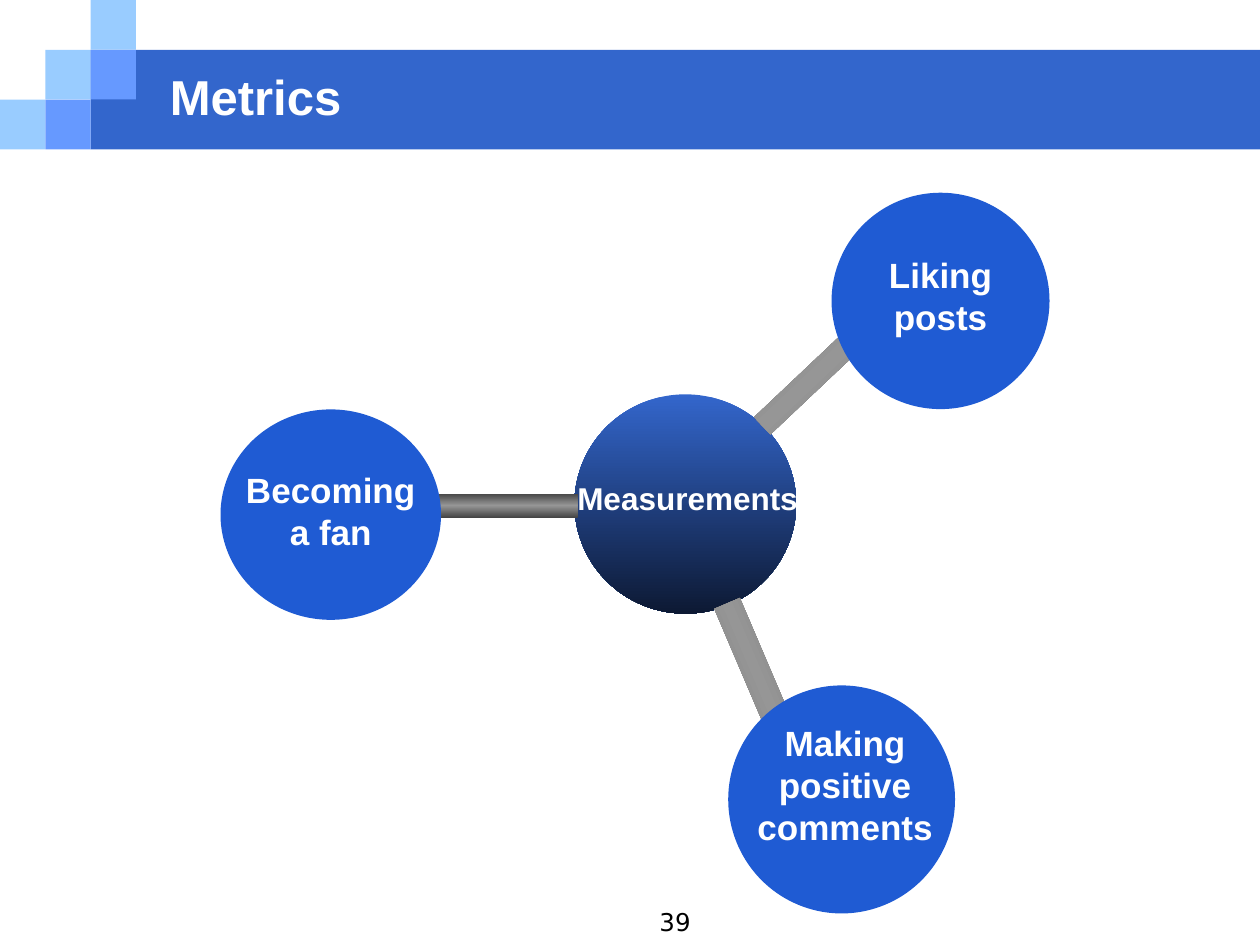
from pptx import Presentation
from pptx.dml.color import RGBColor
from pptx.enum.shapes import MSO_SHAPE
from pptx.enum.text import MSO_ANCHOR, PP_ALIGN
from pptx.oxml import parse_xml
from pptx.oxml.ns import nsdecls
from pptx.util import Inches, Pt

HUES = {
    "band": "3366CC", "pale": "99CCFF", "mid": "6699FF",
    "disc": "1F5BD3", "night": "0D1933",
    "steel": "969696", "dull": "808080", "dark": "454545",
    "white": "FFFFFF", "black": "000000",
}


def part(box, x, y, w, h):
    """Box inside another, given as percentages of it."""
    left, top, wide, high = box
    return (left + wide * x / 100, top + high * y / 100,
            wide * w / 100, high * h / 100)


def shade(shape, hues):
    """Fill from top to bottom with evenly spaced colours."""
    last = len(hues) - 1
    stops = "".join(
        f'<a:gs pos="{100000 * i // last}"><a:srgbClr val="{HUES[hue]}"/></a:gs>'
        for i, hue in enumerate(hues))
    grad = parse_xml(
        f'<a:gradFill {nsdecls("a")} rotWithShape="1"><a:gsLst>{stops}</a:gsLst>'
        '<a:lin ang="5400000" scaled="0"/></a:gradFill>')
    shape._element.spPr.insert(2, grad)


def draw(slide, kind, box, *hues):
    shape = slide.shapes.add_shape(kind, *(Inches(n) for n in box))
    shape.shadow.inherit = False
    shape.line.fill.background()
    if len(hues) > 1:
        shade(shape, hues)
    else:
        shape.fill.solid()
        shape.fill.fore_color.rgb = RGBColor.from_string(HUES[hues[0]])
    return shape


def write(slide, box, text, size, hue="white", align=PP_ALIGN.CENTER,
          anchor=MSO_ANCHOR.TOP, face="Arial", bold=True):
    frame = slide.shapes.add_textbox(*(Inches(n) for n in box)).text_frame
    frame.word_wrap = True
    frame.vertical_anchor = anchor
    frame.text = text
    para = frame.paragraphs[0]
    para.alignment = align
    font = para.runs[0].font
    font.name, font.size, font.bold = face, Pt(size), bold
    font.color.rgb = RGBColor.from_string(HUES[hue])


def header(slide, box, title):
    """Title band with a staircase of tiles on a grid of three rows."""
    col, row = 3.6, 100 / 3
    draw(slide, MSO_SHAPE.RECTANGLE,
         part(box, 2 * col, row, 100 - 2 * col, 2 * row), "band")
    tiles = [(0, 2, "pale"), (1, 1, "pale"), (2, 0, "pale"),
             (2, 1, "mid"), (1, 2, "mid")]
    for x, y, hue in tiles:
        draw(slide, MSO_SHAPE.RECTANGLE,
             part(box, x * col, y * row, col, row), hue)
    write(slide, part(box, 12.5, 42.2, 80.8, 44.7), title, 28,
          align=PP_ALIGN.LEFT, anchor=MSO_ANCHOR.MIDDLE)


def hub(slide, box, text):
    draw(slide, MSO_SHAPE.OVAL, box, "band", "night")
    write(slide, part(box, -13, 36, 128, 23), text, 18)


def spoke(slide, box, text, area, rod, spin, edge):
    """Disc with its label, and the rod that ties it to the hub."""
    bar = draw(slide, MSO_SHAPE.RECTANGLE, part(box, *rod),
               edge, "steel", edge)
    bar.rotation = spin
    draw(slide, MSO_SHAPE.OVAL, box, "disc")
    write(slide, part(box, *area), text, 20)


def main():
    deck = Presentation()
    page = (0, 0, 10, 7.5)
    deck.slide_width, deck.slide_height = Inches(page[2]), Inches(page[3])
    slide = deck.slides.add_slide(deck.slide_layouts[6])
    header(slide, part(page, 0, 0, 100, 15.8), "Metrics")
    hub(slide, part(page, 45.6, 41.73, 17.6, 23.2), "Measurements")
    spokes = [
        ((66, 20.4, 17.3, 22.9), "Liking posts",
         (9, 25, 82, 45), (-40.5, 80.2, 63.6, 11), 316.6, "dull"),
        ((17.5, 43.33, 17.5, 22.27), "Becoming a fan",
         (5, 25, 90, 46), (99, 40, 63, 11.4), 0, "dark"),
        ((57.8, 72.53, 18, 24.13), "Making positive comments",
         (3, 13, 97, 61), (-16.7, -17.7, 53.3, 12.2), 246.9, "dull"),
    ]
    for place, *rest in spokes:
        spoke(slide, part(page, *place), *rest)
    write(slide, part(page, 32.5, 95.33, 23.3, 4.67), "39", 14, "black",
          align=PP_ALIGN.RIGHT, face="DejaVu Sans", bold=False)
    deck.save("out.pptx")


if __name__ == "__main__":
    main()
